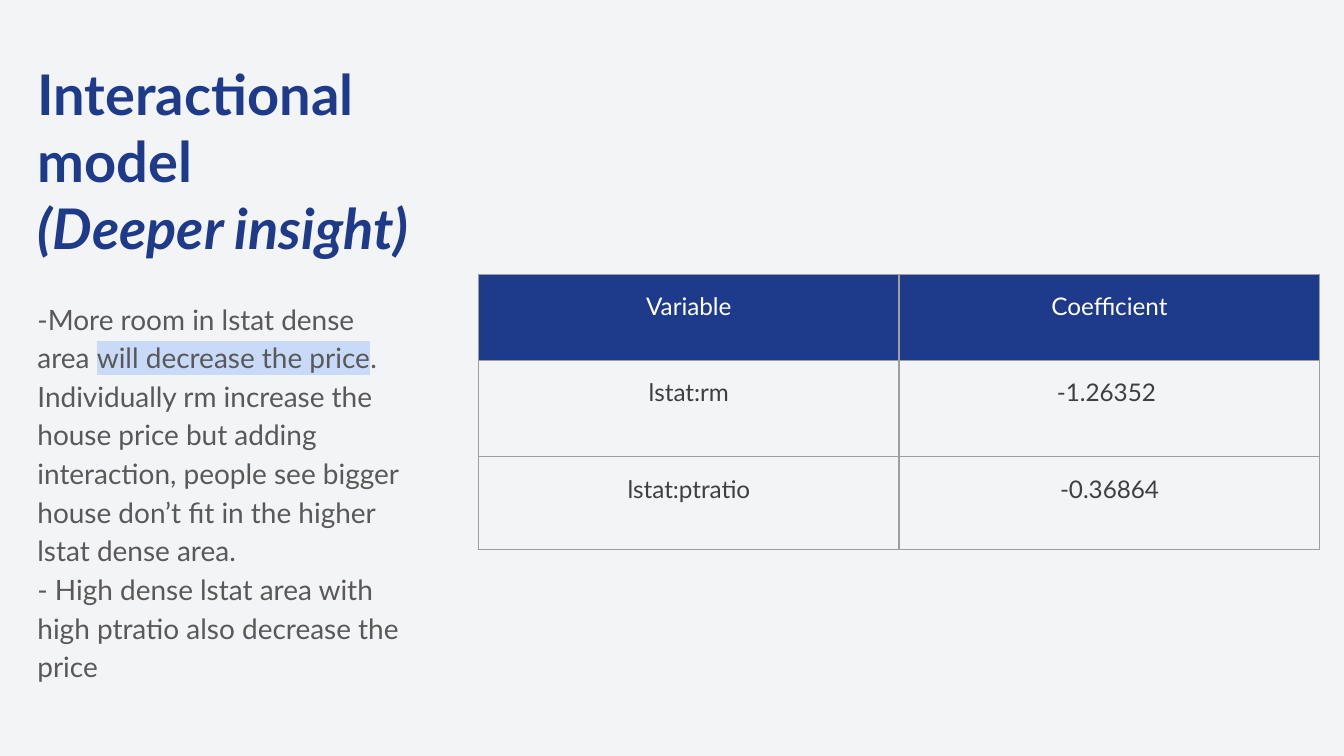
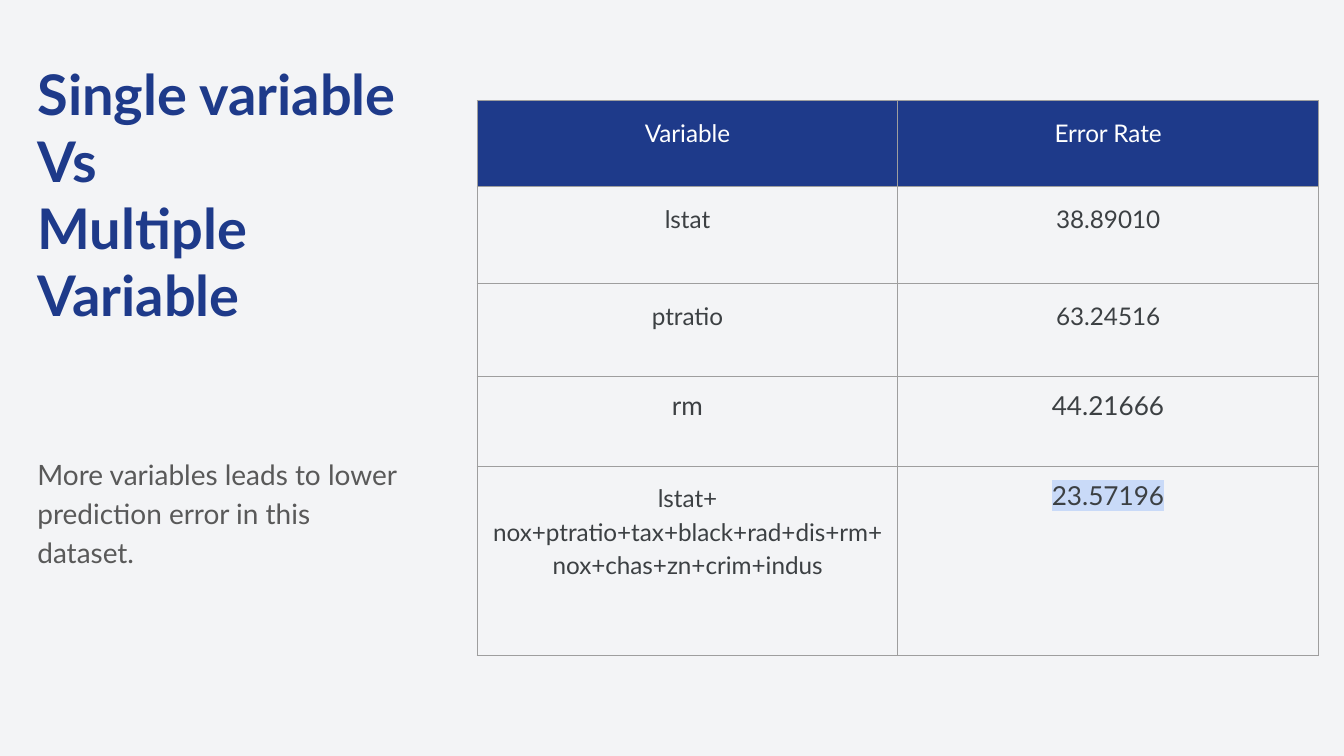
from lxml.etree import SubElement
from pptx import Presentation
from pptx.dml.color import RGBColor
from pptx.enum.text import MSO_ANCHOR, MSO_AUTO_SIZE, PP_ALIGN
from pptx.oxml import parse_xml
from pptx.oxml.ns import nsdecls, qn
from pptx.util import Inches, Pt

FONT = "Lato"
COLORS = {
    "background": "F3F4F6",
    "navy": "1E3A8A",
    "body": "595959",
    "header_text": "FFFFFF",
    "cell_text": "3C4043",
    "border": "9E9E9E",
    "highlight": "C9DAF8",
}
LEFT = 0.18
COLUMN_WIDTH = 3.13
HEADER_HEIGHT = 0.64
CELL_SIZE = 13
LARGE_CELL_SIZE = 14
LINE_SPACING = 1.15


def rgb(name):
    return RGBColor.from_string(COLORS[name])


def style_run(run, size, color, bold=False, italic=False):
    run.font.size = Pt(size)
    run.font.bold = bold
    run.font.italic = italic
    run.font.color.rgb = rgb(color)
    run.font.name = FONT


def highlight(run):
    mark = parse_xml(
        f'<a:highlight {nsdecls("a")}><a:srgbClr val="{COLORS["highlight"]}"/></a:highlight>'
    )
    run.font._element.find(qn("a:solidFill")).addnext(mark)


def prepare_frame(frame):
    frame.word_wrap = True
    frame.auto_size = MSO_AUTO_SIZE.NONE
    frame.vertical_anchor = MSO_ANCHOR.TOP
    frame.margin_left = frame.margin_right = Inches(0.1)
    frame.margin_top = frame.margin_bottom = Inches(0.1)


def add_title(slide, lines, italic_line=None):
    title = slide.shapes.title
    title.left, title.top = Inches(LEFT), Inches(0.34)
    title.width, title.height = Inches(3.28), Inches(5.46)
    frame = title.text_frame
    prepare_frame(frame)
    frame.text = "\n".join(lines)
    for paragraph in frame.paragraphs:
        paragraph.alignment = PP_ALIGN.LEFT
        paragraph.line_spacing = 1.0
        paragraph.space_before = Pt(0)
        for run in paragraph.runs:
            style_run(run, 30, "navy", bold=True, italic=run.text == italic_line)


def add_findings(slide, top, height, findings, emphasis=None):
    box = slide.shapes.add_textbox(Inches(LEFT), Inches(top), Inches(2.98), Inches(height))
    frame = box.text_frame
    prepare_frame(frame)
    frame.text = "\n".join(findings)
    for paragraph, finding in zip(frame.paragraphs, findings):
        paragraph.line_spacing = LINE_SPACING
        if emphasis and emphasis in finding:
            before, after = finding.split(emphasis)
            paragraph.text = before
            for part in (emphasis, after):
                paragraph.add_run().text = part
        for run in paragraph.runs:
            style_run(run, 15, "body")
            if run.text == emphasis:
                highlight(run)


def add_borders(cell):
    properties = cell._tc.get_or_add_tcPr()
    for position, side in enumerate(("lnL", "lnR", "lnT", "lnB")):
        line = SubElement(properties, qn(f"a:{side}"), w=str(Pt(0.75)))
        fill = SubElement(line, qn("a:solidFill"))
        SubElement(fill, qn("a:srgbClr"), val=COLORS["border"])
        properties.insert(position, line)


def fill_cell(cell, text, is_header, size):
    cell.margin_left = cell.margin_right = Inches(0.1)
    cell.margin_top = cell.margin_bottom = Inches(0.1)
    cell.vertical_anchor = MSO_ANCHOR.TOP
    if is_header:
        cell.fill.solid()
        cell.fill.fore_color.rgb = rgb("navy")
    else:
        cell.fill.background()
    add_borders(cell)
    cell.text_frame.text = text
    paragraph = cell.text_frame.paragraphs[0]
    paragraph.alignment = PP_ALIGN.CENTER
    paragraph.line_spacing = LINE_SPACING if size == CELL_SIZE else 1.0
    style_run(paragraph.runs[0], size, "header_text" if is_header else "cell_text")


def add_results(slide, left, top, rows, heights, large=(), emphasis=None):
    heights = [HEADER_HEIGHT, *heights]
    table = slide.shapes.add_table(
        len(rows), 2, Inches(left), Inches(top),
        Inches(2 * COLUMN_WIDTH), Inches(sum(heights)),
    ).table
    table.first_row = False
    table.horz_banding = False
    for column in table.columns:
        column.width = Inches(COLUMN_WIDTH)
    for row_index, (texts, height) in enumerate(zip(rows, heights)):
        table.rows[row_index].height = Inches(height)
        for column_index, text in enumerate(texts):
            cell = table.cell(row_index, column_index)
            size = LARGE_CELL_SIZE if text in large else CELL_SIZE
            fill_cell(cell, text, row_index == 0, size)
            if text == emphasis:
                highlight(cell.text_frame.paragraphs[0].runs[0])


def add_interaction_slide(prs):
    slide = prs.slides.add_slide(prs.slide_layouts[5])
    add_title(slide, ["Interactional model", "(Deeper insight)"], "(Deeper insight)")
    add_findings(
        slide, 2.11, 3.51,
        [
            "-More room in lstat dense area will decrease the price.",
            "Individually rm increase the house price but adding interaction, "
            "people see bigger house don’t fit in the higher lstat dense area.",
            "- High dense lstat area with high ptratio also decrease the price",
        ],
        emphasis="will decrease the price",
    )
    add_results(
        slide, 3.56, 2.04,
        [
            ("Variable", "Coefficient"),
            ("lstat:rm", "-1.26352 "),
            ("lstat:ptratio", "-0.36864"),
        ],
        [0.72, 0.69],
    )


def add_comparison_slide(prs):
    slide = prs.slides.add_slide(prs.slide_layouts[5])
    add_title(slide, ["Single variable", "Vs", "Multiple Variable"])
    add_findings(
        slide, 3.27, 2.36,
        ["More variables leads to lower prediction error in this dataset."],
    )
    add_results(
        slide, 3.55, 0.75,
        [
            ("Variable", "Error Rate"),
            ("lstat", "38.89010"),
            ("ptratio", "63.24516"),
            ("rm", "44.21666"),
            ("lstat+ nox+ptratio+tax+black+rad+dis+rm+nox+chas+zn+crim+indus", "23.57196"),
        ],
        [0.72, 0.69, 0.67, 1.41],
        large=("rm", "44.21666", "23.57196"),
        emphasis="23.57196",
    )


def main():
    prs = Presentation()
    prs.slide_width = Inches(10)
    prs.slide_height = Inches(10 * 9 / 16)
    backdrop = prs.slide_master.background.fill
    backdrop.solid()
    backdrop.fore_color.rgb = rgb("background")
    add_interaction_slide(prs)
    add_comparison_slide(prs)
    prs.save("out.pptx")


if __name__ == "__main__":
    main()
